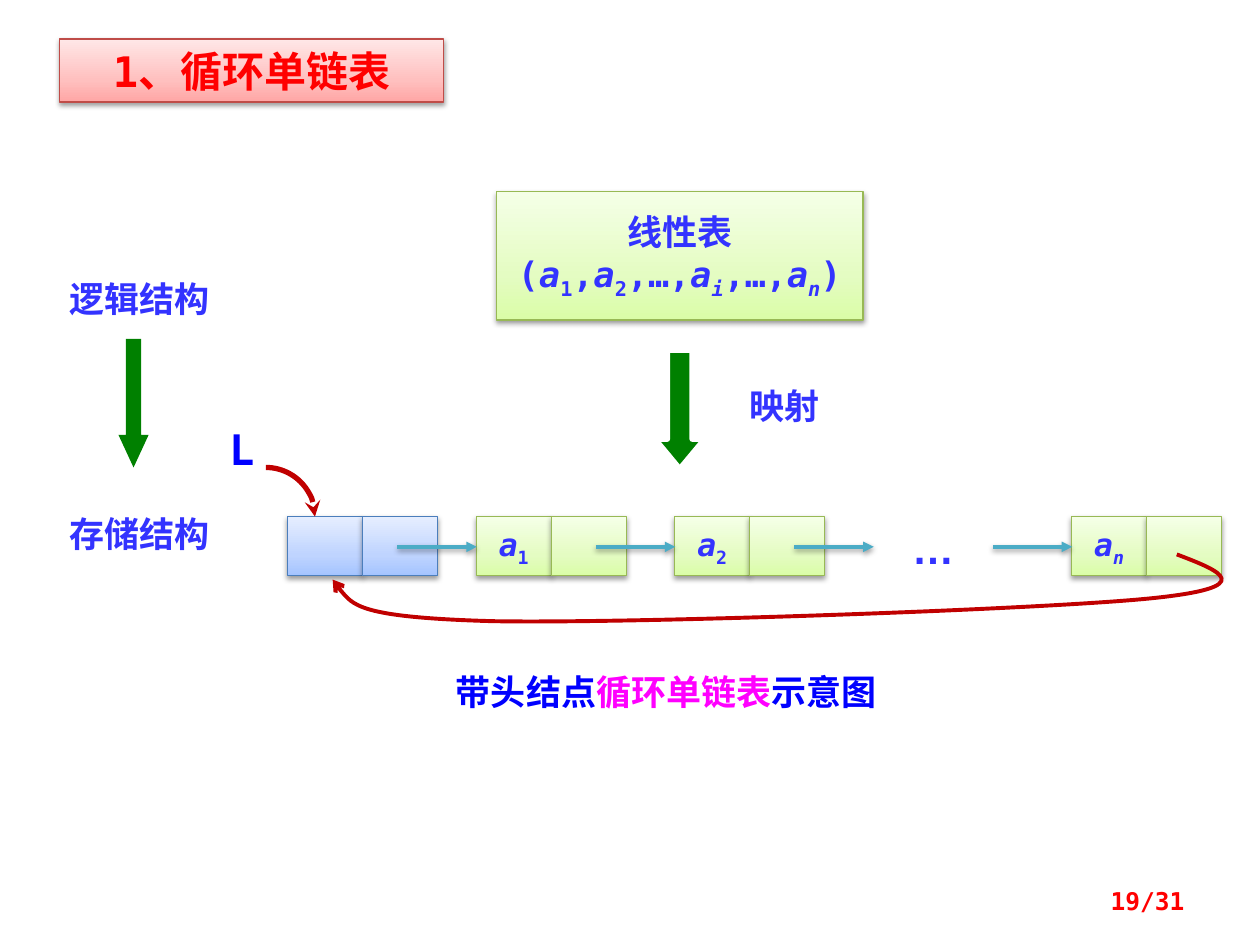
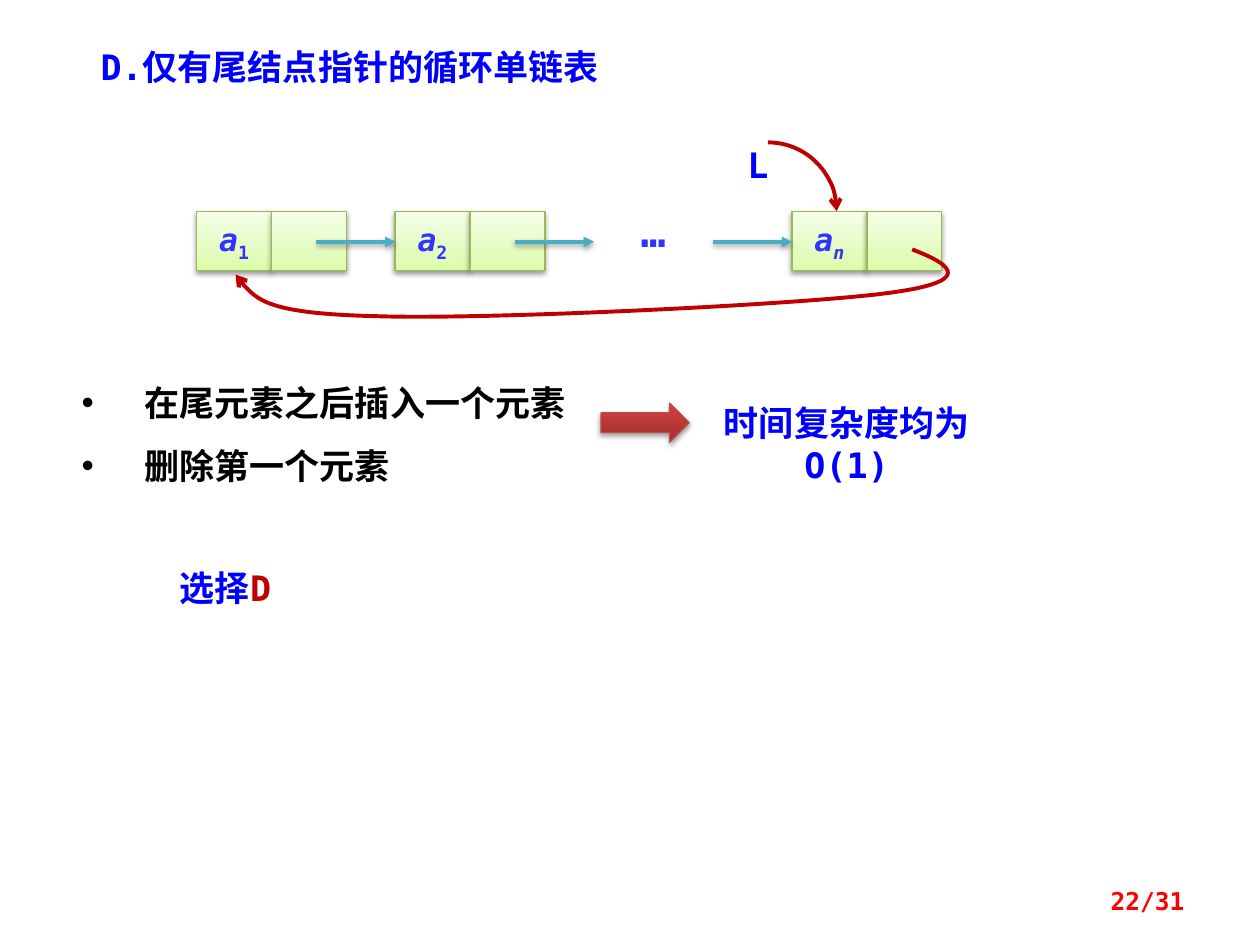
import copy
import dataclasses

import lxml.etree
import pptx
import pptx.dml.color
import pptx.enum.shapes
import pptx.enum.text
import pptx.oxml.ns
import pptx.util

Inches = pptx.util.Inches
Pt = pptx.util.Pt
qn = pptx.oxml.ns.qn
SHAPE = pptx.enum.shapes.MSO_SHAPE
ALIGN = pptx.enum.text.PP_ALIGN
ANCHOR = pptx.enum.text.MSO_ANCHOR


@dataclasses.dataclass(frozen=True)
class Theme:
    mono: str = "DejaVu Sans Mono"
    cjk: str = "Noto Sans CJK SC"
    arial: str = "Arial"
    title: int = 24
    body: int = 20
    cell: int = 18
    footer: int = 14
    violet: str = "3333FF"
    blue: str = "0000FF"
    magenta: str = "FF00FF"
    red: str = "FF0000"
    crimson: str = "C00000"
    green: str = "008000"
    teal: str = "4BACC6"
    white: str = "FFFFFF"
    black: str = "000000"
    lime_box: tuple = ("98B955", ((0, "DAFDA7"), (0.35, "E4FCC2"), (1, "F5FFE7")))
    blue_box: tuple = ("4B7EBC", ((0, "A4C4FF"), (0.35, "BFD4FF"), (1, "E6EEFF")))
    pink_box: tuple = ("BF4C48", ((0, "FFA6A5"), (0.35, "FFC0BF"), (1, "FFE7E7")))
    red_box: tuple = ("BF4C48", ((0, "9C2F2D"), (0.8, "CB3E3A"), (1, "CE3B37")))


@dataclasses.dataclass(frozen=True)
class Run:
    text: str
    color: str = ""
    italic: bool = False
    sub: bool = False


def rgb(value):
    return pptx.dml.color.RGBColor.from_string(value)


def element(parent, tag, **attrs):
    return lxml.etree.SubElement(parent, qn(tag), attrs)


def symbol(index):
    return [Run("a", italic=True), Run(index, italic=index.isalpha(), sub=True)]


class Deck:
    """Draw linked-list slides in one shared style."""

    CELL_W, CELL_H, PITCH = 0.595, 0.47, 1.575
    LINK_X, LINK_W = 0.95, 0.63
    PAGES = 31

    def __init__(self):
        self.theme = Theme()
        self.prs = pptx.Presentation()
        self.prs.slide_width, self.prs.slide_height = Inches(10), Inches(7.5)
        self.s = None

    def new_slide(self, page):
        self.s = self.prs.slides.add_slide(self.prs.slide_layouts[6])
        self.text(7.17, 6.95, 2.33, 0.4, [[Run(f"{page}/{self.PAGES}")]], self.theme.red,
                  size=self.theme.footer, align=ALIGN.RIGHT, anchor=ANCHOR.MIDDLE)

    def set_text(self, tf, paragraphs, color, size=None, font=None, align=ALIGN.LEFT,
                 anchor=ANCHOR.TOP, wrap=True, bullets=False):
        tf.word_wrap, tf.vertical_anchor = wrap, anchor
        for i, runs in enumerate(paragraphs):
            p = tf.paragraphs[0] if i == 0 else tf.add_paragraph()
            p.alignment = align
            if bullets:
                p.line_spacing = 1.5
                pPr = p._p.get_or_add_pPr()
                pPr.set("marL", str(Inches(0.5)))
                pPr.set("indent", str(-Inches(0.5)))
                element(pPr, "a:buFont", typeface=self.theme.arial)
                element(pPr, "a:buChar", char="•")
            for run in runs:
                r = p.add_run()
                r.text = run.text
                r.font.size = Pt(size or self.theme.body)
                r.font.bold, r.font.italic = True, run.italic
                r.font.color.rgb = rgb(run.color or color)
                r.font.name = font or self.theme.mono
                rPr = r._r.get_or_add_rPr()
                element(rPr, "a:ea", typeface=r.font.name)
                if run.sub:
                    rPr.set("baseline", "-25000")

    def text(self, x, y, w, h, paragraphs, color, **style):
        sp = self.s.shapes.add_textbox(Inches(x), Inches(y), Inches(w), Inches(h))
        self.set_text(sp.text_frame, paragraphs, color, **style)

    def shape(self, kind, x, y, w, h):
        sp = self.s.shapes.add_shape(kind, Inches(x), Inches(y), Inches(w), Inches(h))
        sp.shadow.inherit = False
        return sp

    def shadow(self, spPr):
        effects = spPr.find(qn("a:effectLst"))
        if effects is None:
            effects = element(spPr, "a:effectLst")
        outer = element(effects, "a:outerShdw", blurRad=str(Pt(3.1)), dist=str(Pt(1.6)),
                        dir="5400000", rotWithShape="0")
        element(element(outer, "a:srgbClr", val=self.theme.black), "a:alpha", val="38000")

    def box(self, x, y, w, h, palette, kind=SHAPE.RECTANGLE):
        border, stops = palette
        sp = self.shape(kind, x, y, w, h)
        sp.fill.gradient()
        sp.fill.gradient_angle = 90
        stop_list = sp._element.spPr.find(qn("a:gradFill")).find(qn("a:gsLst"))
        stop_list.append(copy.deepcopy(stop_list[0]))
        for stop, (position, color) in zip(sp.fill.gradient_stops, stops):
            stop.position, stop.color.rgb = position, rgb(color)
        sp.line.color.rgb, sp.line.width = rgb(border), Pt(0.75)
        self.shadow(sp._element.spPr)
        return sp

    def down_arrow(self, x, y, w, h, head, outline=None):
        sp = self.shape(SHAPE.DOWN_ARROW, x, y, w, h)
        sp.adjustments[1] = head
        sp.fill.solid()
        sp.fill.fore_color.rgb = rgb(self.theme.green)
        if outline:
            sp.line.color.rgb, sp.line.width = rgb(outline), Pt(3)
        else:
            sp.line.fill.background()

    def stroke(self, sp, color, width, tail):
        sp.line.color.rgb, sp.line.width = rgb(color), Pt(width)
        element(sp._element.spPr.find(qn("a:ln")), "a:tailEnd", type=tail)

    def arc(self, x, y, size, width, tail):
        sp = self.shape(SHAPE.ARC, x, y, size, size)
        sp.fill.background()
        self.stroke(sp, self.theme.crimson, width, tail)

    def return_curve(self, points):
        (x, y), *rest = [(Inches(px), Inches(py)) for px, py in points]
        builder = self.s.shapes.build_freeform(x, y)
        builder.add_line_segments(rest, close=False)
        sp = builder.convert_to_shape()
        sp.shadow.inherit = False
        sp.fill.background()
        outline = next(sp._element.iter(qn("a:path")))
        lines = outline.findall(qn("a:lnTo"))
        for i in range(0, len(lines), 3):
            curve = element(outline, "a:cubicBezTo")
            for line in lines[i:i + 3]:
                curve.append(line[0])
                outline.remove(line)
        self.stroke(sp, self.theme.crimson, 2.25, "arrow")

    def link(self, x, y):
        sp = self.s.shapes.add_connector(pptx.enum.shapes.MSO_CONNECTOR.STRAIGHT, Inches(x),
                                         Inches(y), Inches(x + self.LINK_W), Inches(y))
        self.stroke(sp, self.theme.teal, 2, "triangle")
        self.shadow(sp._element.spPr)

    def node(self, x, y, palette, label=None):
        data, _ = [self.box(x + i * self.CELL_W, y, self.CELL_W, self.CELL_H, palette)
                   for i in range(2)]
        if label:
            self.set_text(data.text_frame, [symbol(label)], self.theme.violet,
                          size=self.theme.cell, align=ALIGN.CENTER, anchor=ANCHOR.MIDDLE,
                          wrap=False)

    def chain(self, x, y, dots_y, dots_font, first_link=0):
        for slot, label in ((0, "1"), (1, "2"), (3, "n")):
            self.node(x + slot * self.PITCH, y, self.theme.lime_box, label)
        self.text(x + 2 * self.PITCH + 0.16, dots_y, 0.63, 0.5, [[Run("…")]], self.theme.violet,
                  size=self.theme.title, font=dots_font, align=ALIGN.CENTER)
        for slot in range(first_link, 3):
            self.link(x + slot * self.PITCH + self.LINK_X, y + 0.24)


def circular_list(d):
    t = d.theme
    d.new_slide(19)
    title = d.box(0.47, 0.31, 3.05, 0.5, t.pink_box)
    d.set_text(title.text_frame, [[Run("1、循环单链表")]], t.red, size=t.title,
               align=ALIGN.CENTER)
    linear = d.box(3.94, 1.52, 2.91, 1.02, t.lime_box)
    terms = [Run("("), *symbol("1"), Run(","), *symbol("2"), Run(",…,"), *symbol("i"),
             Run(",…,"), *symbol("n"), Run(")")]
    d.set_text(linear.text_frame, [[Run("线性表")], terms], t.violet, align=ALIGN.CENTER,
               anchor=ANCHOR.MIDDLE, wrap=False)
    d.down_arrow(5.2, 2.78, 0.39, 0.94, 0.6, outline=t.white)
    d.text(5.7, 3, 1.05, 0.43, [[Run("映射")]], t.violet, align=ALIGN.CENTER)
    for y, label in ((2.15, "逻辑结构"), (4.02, "存储结构")):
        d.text(0.16, y, 1.89, 0.44, [[Run(label)]], t.violet, font=t.cjk, align=ALIGN.CENTER)
    d.down_arrow(0.94, 2.69, 0.24, 1.02, 1.08)
    d.node(2.28, 4.1, t.blue_box)
    d.chain(3.78, 4.1, 4.1, t.arial, first_link=-1)
    d.arc(1.72, 3.71, 0.78, 3, "stealth")
    d.text(1.72, 3.31, 0.47, 0.5, [[Run("L")]], t.blue, size=t.title)
    caption = [Run("带头结点"), Run("循环单链表", t.magenta), Run("示意图")]
    d.text(3.52, 5.27, 3.91, 0.44, [caption], t.blue, font=t.cjk)
    d.return_curve([(9.34, 4.4), (9.68, 4.53), (10.02, 4.66), (9.12, 4.75), (8.21, 4.84),
                    (4.99, 4.95), (3.91, 4.93), (2.83, 4.9), (2.74, 4.75), (2.64, 4.6)])


def tail_pointer_list(d):
    t = d.theme
    d.new_slide(22)
    d.text(0.7, 0.31, 5, 0.44, [[Run("D.仅有尾结点指针的循环单链表")]], t.blue)
    d.arc(5.55, 1.13, 1.09, 2.25, "arrow")
    d.chain(1.56, 1.68, 1.58, t.mono)
    d.return_curve([(7.24, 1.98), (7.58, 2.11), (7.73, 2.24), (7.02, 2.33), (6.31, 2.42),
                    (3.84, 2.54), (2.98, 2.51), (2.13, 2.49), (1.97, 2.33), (1.87, 2.18)])
    d.text(5.78, 1.09, 0.47, 0.44, [[Run("L")]], t.blue, align=ALIGN.CENTER)
    d.text(0.55, 2.81, 4.06, 1.11, [[Run("在尾元素之后插入一个元素")], [Run("删除第一个元素")]],
           t.black, bullets=True)
    d.box(4.77, 3.2, 0.7, 0.31, t.red_box, SHAPE.RIGHT_ARROW)
    d.text(5.47, 3.14, 2.5, 0.77, [[Run("时间复杂度均为O(1)")]], t.blue, align=ALIGN.CENTER)
    d.text(1.33, 4.45, 1.72, 0.44, [[Run("选择"), Run("D", t.crimson)]], t.blue)


def main():
    d = Deck()
    circular_list(d)
    tail_pointer_list(d)
    d.prs.save("out.pptx")


if __name__ == "__main__":
    main()
